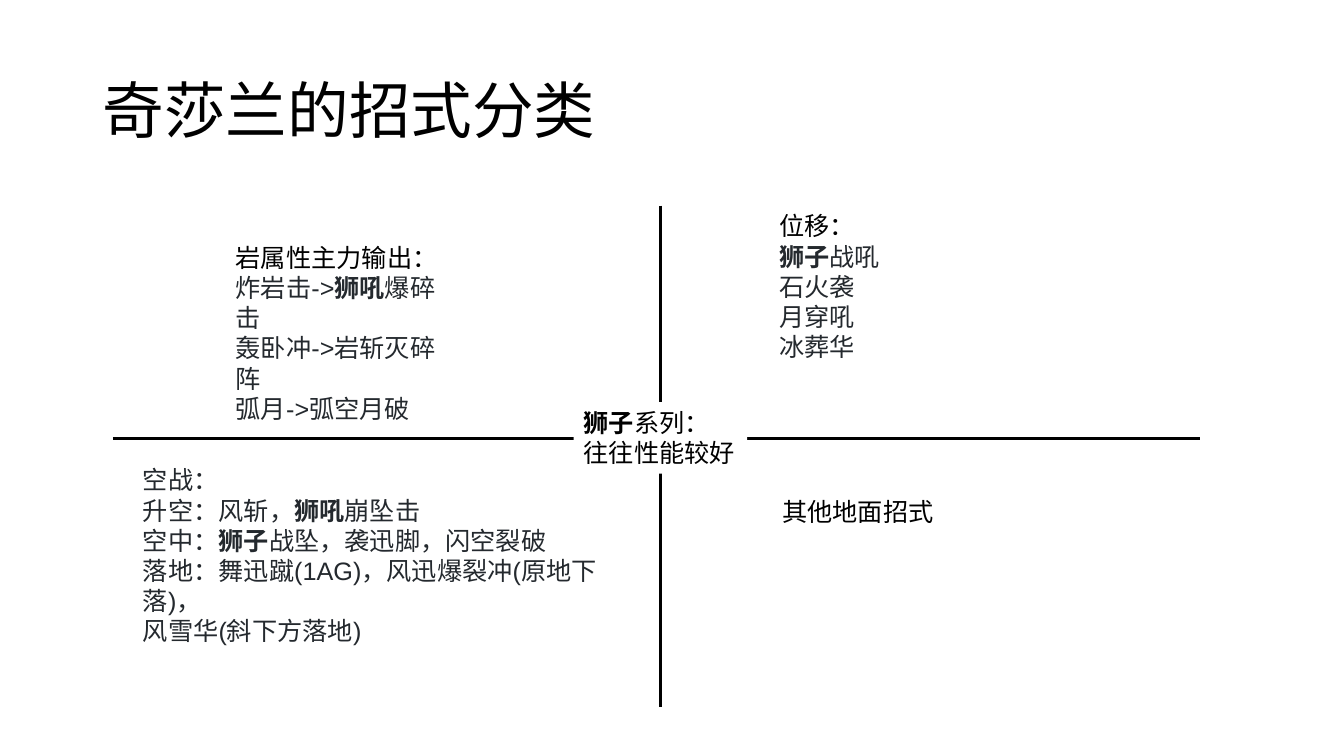
import pptx
import pptx.dml.color
import pptx.enum.shapes
import pptx.enum.text
import pptx.oxml.ns
import pptx.util
from lxml import etree
from pptx.util import Inches

COLORS = {"black": "000000", "slate": "24292E", "white": "FFFFFF"}
HEADING = ("Noto Sans CJK SC", "black")
MOVES = ("Arial", "slate")


def rgb(name):
    return pptx.dml.color.RGBColor.from_string(COLORS[name])


def style_span(span, style, size, bold=False):
    font_name, color = style
    span.font.name = font_name
    span.font.size = pptx.util.Pt(size)
    span.font.bold = bold
    span.font.color.rgb = rgb(color)
    east_asian = etree.SubElement(span.font._element, pptx.oxml.ns.qn("a:ea"))
    east_asian.set("typeface", font_name)


def fill_text(box, lines, size=18):
    frame = box.text_frame
    frame.word_wrap = True
    for index, (text, style) in enumerate(lines):
        para = frame.paragraphs[0] if index == 0 else frame.add_paragraph()
        para.alignment = pptx.enum.text.PP_ALIGN.LEFT
        for part, words in enumerate(text.split("*")):
            if words:
                span = para.add_run()
                span.text = words
                style_span(span, style, size, bold=part % 2 == 1)


def add_title(page, text):
    box = page.shapes.add_textbox(Inches(0.92), Inches(0.4), Inches(11.5), Inches(1.45))
    fill_text(box, [(text, HEADING)], size=44)
    box.text_frame.vertical_anchor = pptx.enum.text.MSO_ANCHOR.MIDDLE
    box.text_frame.paragraphs[0].line_spacing = 0.9


def add_axis(page, left, top, right, bottom):
    axis = page.shapes.add_connector(
        pptx.enum.shapes.MSO_CONNECTOR.STRAIGHT,
        Inches(left), Inches(top), Inches(right), Inches(bottom))
    axis.line.color.rgb = rgb("black")
    axis.line.width = pptx.util.Pt(2.25)
    etree.SubElement(axis._element.spPr, pptx.oxml.ns.qn("a:effectLst"))


def add_quadrant(page, left, top, width, height, heading, moves=(), style=HEADING):
    box = page.shapes.add_textbox(Inches(left), Inches(top), Inches(width), Inches(height))
    fill_text(box, [(heading, style)] + [(move, MOVES) for move in moves])


def add_center_label(page, lines):
    label = page.shapes.add_shape(
        pptx.enum.shapes.MSO_SHAPE.RECTANGLE,
        Inches(5.69), Inches(3.99), Inches(1.72), Inches(0.71))
    label.shadow.inherit = False
    label.fill.solid()
    label.fill.fore_color.rgb = rgb("white")
    label.line.fill.background()
    fill_text(label, [(line, HEADING) for line in lines])
    label.text_frame.vertical_anchor = pptx.enum.text.MSO_ANCHOR.TOP


def main():
    deck = pptx.Presentation()
    deck.slide_width = Inches(13.33)
    deck.slide_height = Inches(7.5)
    page = deck.slides.add_slide(deck.slide_layouts[6])

    add_title(page, "奇莎兰的招式分类")
    add_axis(page, 1.12, 4.35, 11.9, 4.35)
    add_axis(page, 6.55, 2.04, 6.55, 7.01)
    add_quadrant(page, 2.24, 2.35, 2.42, 1.31, "岩属性主力输出：",
                 ["炸岩击->*狮吼*爆碎击", "轰卧冲->岩斩灭碎阵", "弧月->弧空月破"])
    add_quadrant(page, 7.63, 2.04, 1.21, 1.62, "位移：",
                 ["*狮子*战吼", "石火袭", "月穿吼", "冰葬华"])
    add_quadrant(page, 7.66, 4.87, 1.72, 0.4, "其他地面招式")
    add_quadrant(page, 1.32, 4.56, 5.23, 1.62, "空战：",
                 ["升空：风斩，*狮吼*崩坠击",
                  "空中：*狮子*战坠，袭迅脚，闪空裂破",
                  "落地：舞迅蹴(1AG)，风迅爆裂冲(原地下落)，",
                  "风雪华(斜下方落地)"], style=MOVES)
    add_center_label(page, ["*狮子*系列：", "往往性能较好"])

    deck.save("out.pptx")


if __name__ == "__main__":
    main()
